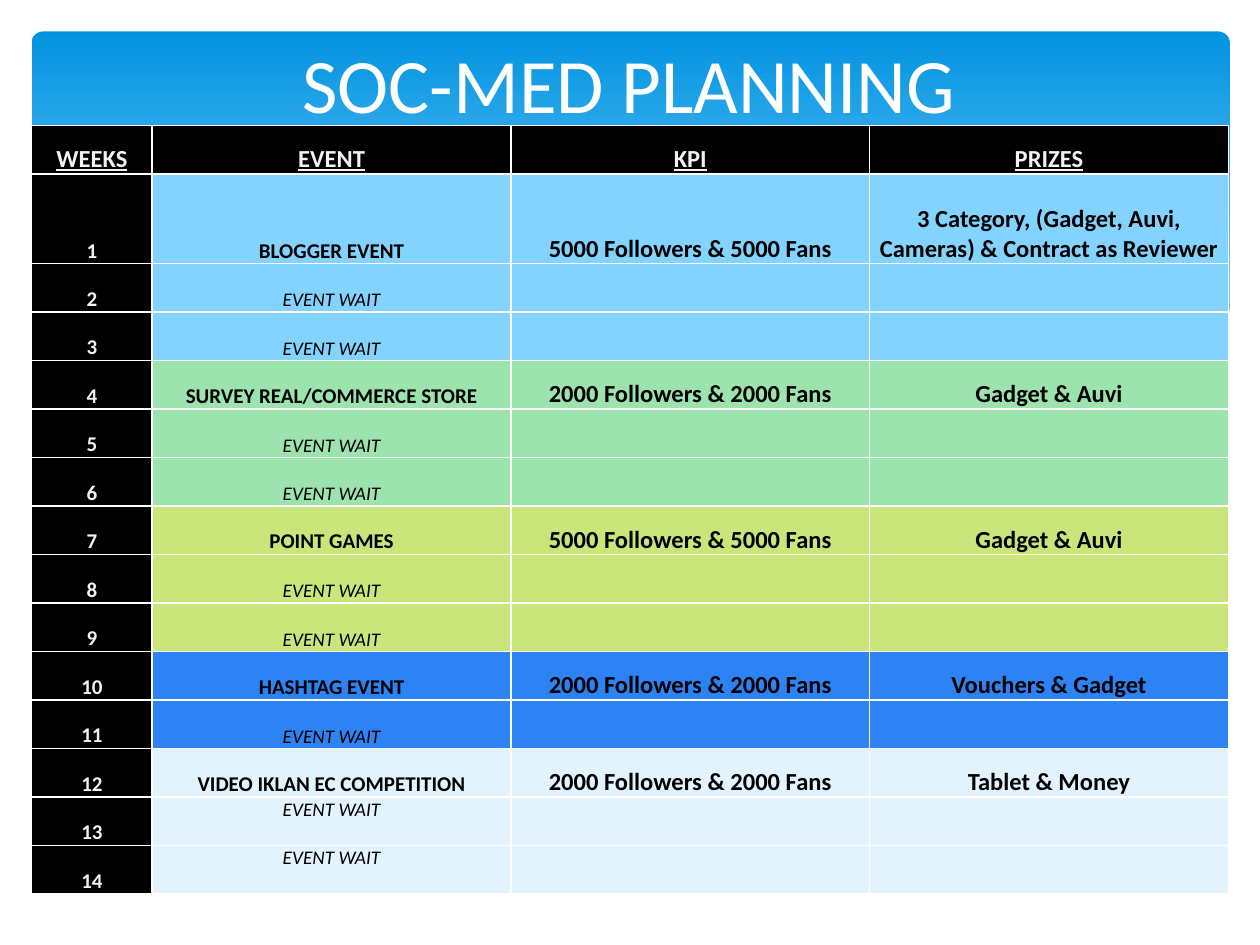
from lxml.etree import SubElement
from pptx import Presentation
from pptx.dml.color import RGBColor
from pptx.enum.shapes import MSO_SHAPE as Preset
from pptx.enum.text import MSO_ANCHOR as Anchor, PP_ALIGN as Align
from pptx.oxml.ns import qn
from pptx.util import Pt

COLORS = {
    "white": "FFFFFF", "black": "000000", "label": "F2F2F2",
    "deep": "0293E0", "sky": "83D3FE", "green": "9DE3AE",
    "lime": "CAE67B", "blue": "2D83F4", "pale": "E2F3FE",
}
HEADINGS = ("WEEKS", "EVENT", "KPI", "PRIZES")
CAMPAIGNS = (
    ("sky", 3, "BLOGGER EVENT", "5000 Followers & 5000 Fans",
     "3 Category, (Gadget, Auvi, Cameras) & Contract as Reviewer"),
    ("green", 3, "SURVEY REAL/COMMERCE STORE", "2000 Followers & 2000 Fans", "Gadget & Auvi"),
    ("lime", 3, "POINT GAMES", "5000 Followers & 5000 Fans", "Gadget & Auvi"),
    ("blue", 2, "HASHTAG EVENT", "2000 Followers & 2000 Fans", "Vouchers & Gadget"),
    ("pale", 3, "VIDEO IKLAN EC COMPETITION", "2000 Followers & 2000 Fans", "Tablet & Money"),
)
COLUMN_WIDTHS = (69, 205, 205, 205)
ROW_HEIGHT, TALL_ROW_HEIGHT = 27.7, 51.4
TOP_ALIGNED_WEEKS = (13, 14)
BANNER_WAVE = (
    (703.4, 177.1), (684, 184.3), (662.4, 190.8), (638.6, 195.1), (612, 198),
    (582.5, 199.4), (547.9, 198), (509.8, 194.4), (466.6, 188.6), (416.9, 180),
    (362.2, 167.8), (301, 153.4), (244.8, 141.8), (195.1, 135.4), (151.9, 132.5),
    (115.9, 132.5), (85.7, 134.6), (61.2, 139), (42.5, 143.3), (28.8, 147.6),
    (16.6, 153.4), (16.6, 236.9), (703.4, 236.9),
)


def rgb(name):
    return RGBColor.from_string(COLORS[name])


class SlideBuilder:
    font_name = "Calibri"

    def __init__(self, slide):
        self.slide = slide

    def format_text(self, paragraph, size, color, bold=False, italic=False, underline=False):
        paragraph.alignment = Align.CENTER
        font = paragraph.font
        font.name, font.size = self.font_name, Pt(size)
        font.bold, font.italic, font.underline = bold, italic, underline
        font.color.rgb = rgb(color)

    def banner(self, left, top, width, height):
        shape = self.slide.shapes.add_shape(
            Preset.ROUNDED_RECTANGLE, Pt(left), Pt(top), Pt(width), Pt(height))
        shape.adjustments[0] = 0.034
        shape.shadow.inherit = False
        shape.line.fill.background()
        shape.fill.gradient()
        shape.fill.gradient_angle = 270
        stops = shape.fill.gradient_stops
        for stop, color, position in zip(stops, ("deep", "sky"), (0, 0.9)):
            stop.color.rgb = rgb(color)
            stop.position = position

    def outline(self, points, color):
        start, *others = [(Pt(x), Pt(y)) for x, y in points]
        freeform = self.slide.shapes.build_freeform(*start)
        freeform.add_line_segments(others, close=True)
        shape = freeform.convert_to_shape()
        shape.shadow.inherit = False
        shape.line.fill.background()
        shape.fill.solid()
        shape.fill.fore_color.rgb = rgb(color)

    def title(self, text, left, top, width, height):
        title = self.slide.shapes.title
        title.left, title.top = Pt(left), Pt(top)
        title.width, title.height = Pt(width), Pt(height)
        title.text_frame.text = text
        title.text_frame.vertical_anchor = Anchor.MIDDLE
        self.format_text(title.text_frame.paragraphs[0], 44, "white")
        self.slide.shapes._spTree.append(title._element)

    def table(self, left, top, widths, heights):
        frame = self.slide.shapes.add_table(
            len(heights), len(widths), Pt(left), Pt(top), Pt(sum(widths)), Pt(sum(heights)))
        table = frame.table
        for column, width in zip(table.columns, widths):
            column.width = Pt(width)
        for row, height in zip(table.rows, heights):
            row.height = Pt(height)
        return table

    def cell(self, cell, text, fill, size, color, anchor=Anchor.BOTTOM, **style):
        cell.text = text
        cell.vertical_anchor = anchor
        cell.margin_left = cell.margin_right = cell.margin_top = Pt(0.7)
        cell.margin_bottom = 0
        self.format_text(cell.text_frame.paragraphs[0], size, color, **style)
        cell.fill.solid()
        cell.fill.fore_color.rgb = rgb(fill)
        self.border(cell)

    def border(self, cell):
        properties = cell._tc.get_or_add_tcPr()
        for index, side in enumerate(("lnL", "lnR", "lnT", "lnB")):
            line = SubElement(properties, qn(f"a:{side}"), w=str(Pt(1)))
            solid = SubElement(line, qn("a:solidFill"))
            SubElement(solid, qn("a:srgbClr"), val=COLORS["white"])
            properties.insert(index, line)


def fill_schedule(builder, table):
    for column, heading in enumerate(HEADINGS):
        builder.cell(table.cell(0, column), heading, "black", 14, "label",
                     bold=True, underline=True)
    week = 0
    for color, duration, event, kpi, prizes in CAMPAIGNS:
        for offset in range(duration):
            week += 1
            starts = offset == 0
            anchor = Anchor.TOP if week in TOP_ALIGNED_WEEKS else Anchor.BOTTOM
            builder.cell(table.cell(week, 0), str(week), "black", 12, "label", bold=True)
            builder.cell(table.cell(week, 1), event if starts else "EVENT WAIT", color,
                         12 if starts else 11, "black", anchor, bold=starts, italic=not starts)
            for column, text in ((2, kpi), (3, prizes)):
                builder.cell(table.cell(week, column), text if starts else "",
                             color, 14, "black", bold=True)


def main():
    presentation = Presentation()
    presentation.slide_width, presentation.slide_height = Pt(720), Pt(540)
    builder = SlideBuilder(presentation.slides.add_slide(presentation.slide_layouts[5]))
    builder.banner(18, 18, 684.7, 194.4)
    builder.outline(BANNER_WAVE, "white")
    weeks = sum(campaign[1] for campaign in CAMPAIGNS)
    heights = [ROW_HEIGHT, TALL_ROW_HEIGHT] + [ROW_HEIGHT] * (weeks - 1)
    fill_schedule(builder, builder.table(18, 71.6, COLUMN_WIDTHS, heights))
    builder.title("SOC-MED PLANNING", 35.6, -2, 648, 98.6)
    presentation.save("out.pptx")


if __name__ == "__main__":
    main()
